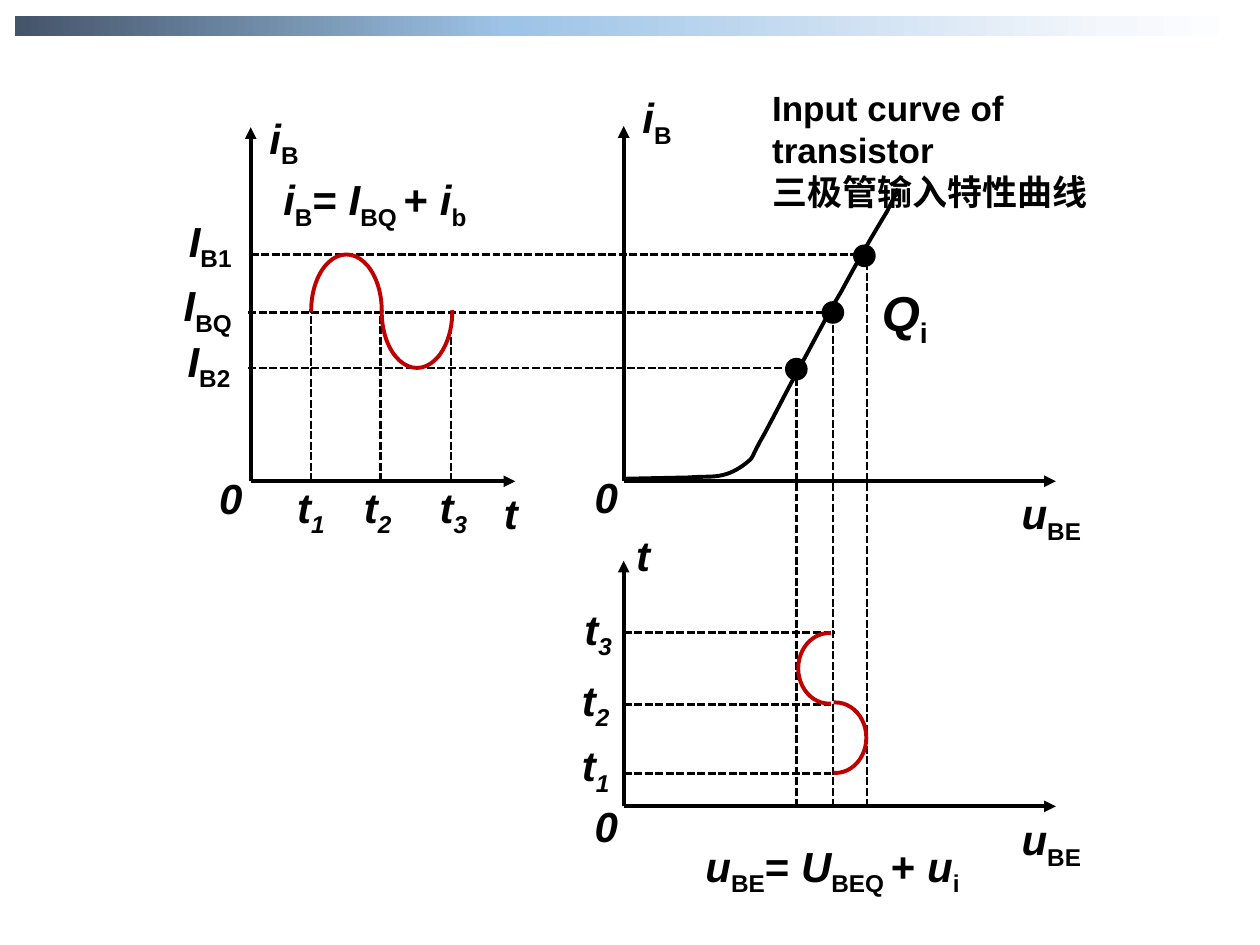
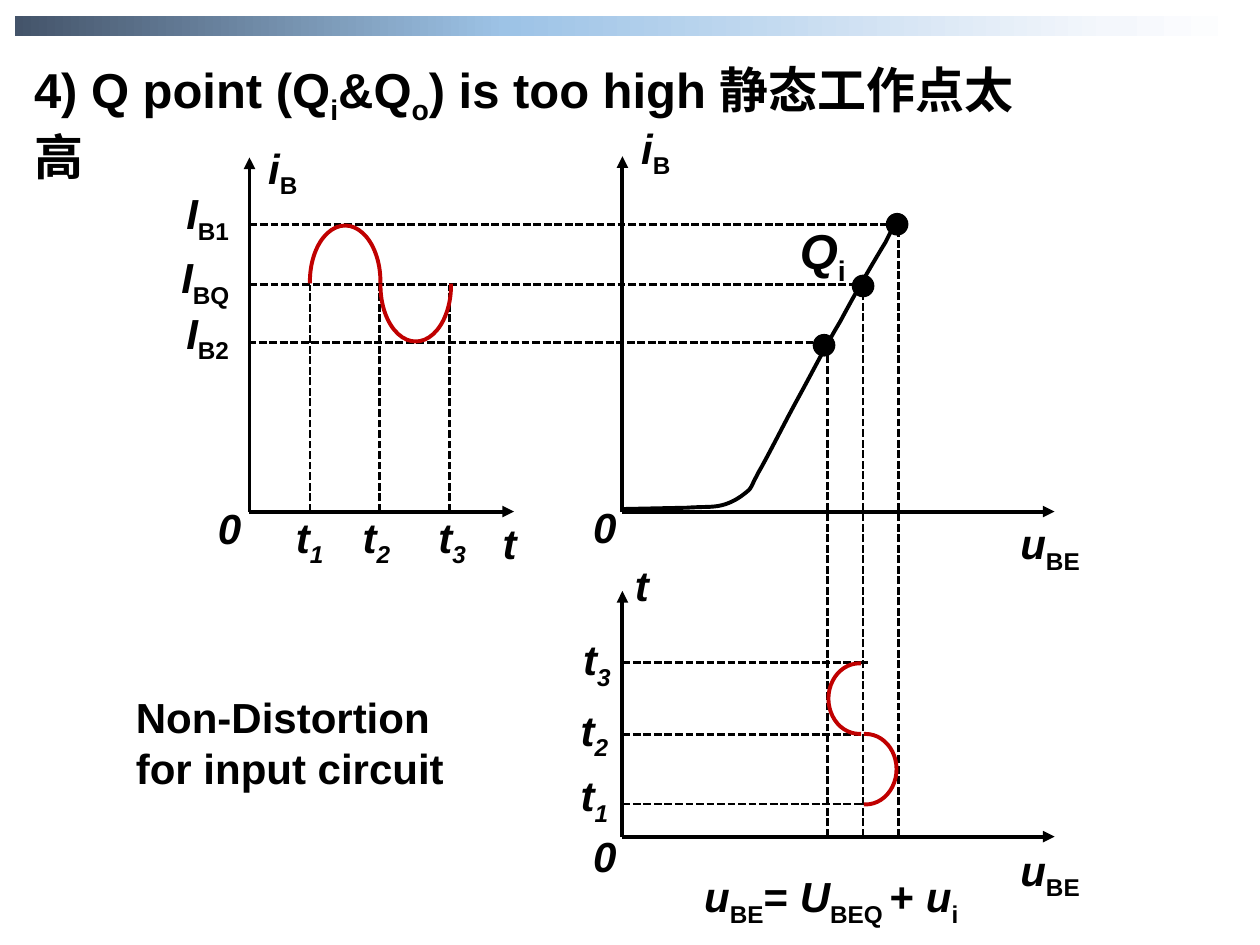
import pptx
import pptx.util
import pptx.dml.color
import pptx.enum.dml
import pptx.enum.shapes
import pptx.enum.text
import pptx.oxml
import pptx.oxml.ns
import lxml.etree

PX = 9144
BLACK = pptx.dml.color.RGBColor(0x00, 0x00, 0x00)
RED = pptx.dml.color.RGBColor(0xC0, 0x00, 0x00)
NAVY = pptx.dml.color.RGBColor(0x44, 0x54, 0x6A)
SKY = pptx.dml.color.RGBColor(0x9D, 0xC3, 0xE6)
PALE = pptx.dml.color.RGBColor(0xF4, 0xF7, 0xFC)
WHITE = pptx.dml.color.RGBColor(0xFF, 0xFF, 0xFF)
FADE = [(0, NAVY), (40, SKY), (89, PALE), (100, WHITE)]
LATIN, HAN = "Arial", "Noto Sans CJK SC"
SHAPE = pptx.enum.shapes.MSO_SHAPE
qn = pptx.oxml.ns.qn


def write(box, size, *paras):
    frame = box.text_frame
    frame.word_wrap = True
    frame.auto_size = pptx.enum.text.MSO_AUTO_SIZE.SHAPE_TO_FIT_TEXT
    frame.vertical_anchor = pptx.enum.text.MSO_ANCHOR.TOP
    for n, parts in enumerate(paras):
        para = frame.add_paragraph() if n else frame.paragraphs[0]
        para.alignment = pptx.enum.text.PP_ALIGN.LEFT
        para.font.name, para.font.bold = LATIN, True
        para.font.size = pptx.util.Pt(size)
        para.font.color.rgb = BLACK
        for words, kind in parts:
            run = para.add_run()
            run.text = words
            if "i" in kind:
                run.font.italic = True
            if "s" in kind:
                run._r.get_or_add_rPr().set("baseline", "-25000")
            if "h" in kind:
                run.font.name = HAN
                lxml.etree.SubElement(run._r.rPr, qn("a:ea"), typeface=HAN)


def draw(slide, x1, y1, x2, y2, dash):
    kind = pptx.enum.shapes.MSO_CONNECTOR.STRAIGHT
    rule = slide.shapes.add_connector(kind, x1 * PX, y1 * PX, x2 * PX, y2 * PX)
    rule.line.color.rgb = BLACK
    rule.line.width = pptx.util.Pt(1.5 if dash else 2.25)
    if dash:
        rule.line.dash_style = pptx.enum.dml.MSO_LINE.SQUARE_DOT
    else:
        lxml.etree.SubElement(rule.line._get_or_add_ln(), qn("a:tailEnd"), type="triangle")
    lxml.etree.SubElement(rule._element.spPr, qn("a:effectLst"))


ZERO, TIME = [("0", "i")], [("t", "i")]
CURRENT = [("i", "i"), ("B", "s")]
VOLTAGE = [("u", "i"), ("BE", "s")]
POINT = [("Q", "i"), ("i", "s")]
TICKS = [[("t", "i"), (n, "is")] for n in "123"]
LEVELS = [[("I", "i"), (n, "s")] for n in ("B1", "BQ", "B2")]
U_SUM = VOLTAGE + [("= ", ""), ("U", "i"), ("BEQ ", "s"), ("+ ", ""), ("u", "i"), ("i", "s")]
I_SUM = CURRENT + [("=", ""), (" I", "i"), ("BQ ", "s"), ("+ ", ""), ("i", "i"), ("b", "s")]
NOTE = [[("Input curve of transistor", "")], [("三极管输入特性曲线", "h")]]
TITLE = [("4) Q point (Q", ""), ("i", "s"), ("&Q", ""), ("o", "s"),
         (") is too high ", ""), ("静态工作点太高", "h")]
VERDICT = [("Non-Distortion for input circuit", "")]

AXES = [(495, 382, 495, 100), (495, 382, 838, 382), (495, 640, 495, 445),
        (495, 640, 838, 640), (199, 382, 199, 101), (199, 382, 409, 382)]
LABELS = [(550, 662, 261, U_SUM), (500, 68, 55, CURRENT), (801, 382, 83, VOLTAGE),
          (495, 415, 55, TIME), (801, 641, 83, VOLTAGE), (462, 630, 55, ZERO),
          (204, 84, 55, CURRENT), (390, 382, 47, TIME), (462, 369, 55, ZERO),
          (164, 370, 55, ZERO)]
LABELS += [(x, 377, 55, tick) for x, tick in zip((226, 279, 339), TICKS)]
LABELS += [(x, y, 55, tick) for x, y, tick in zip((452, 452, 454), (582, 530, 474), TICKS)]
BENDS = [[(546, 379), (559, 378), (566, 379), (574, 377)],
         [(574, 377), (582, 375), (588, 371), (593, 367)],
         [(593, 367), (598, 363), (596, 364), (603, 351)],
         [(603, 351), (610, 339), (624, 311), (635, 291)],
         [(635, 291), (646, 271), (656, 251), (668, 231)],
         [(668, 231), (679, 210), (696, 181), (704, 168)],
         [(704, 168), (711, 154), (712, 152), (713, 150)]]
STEPS = 8

VIEWS = [
    dict(shift=(0, 0), title=None,
         rows=[(199, 202, 690), (197, 248, 662), (197, 292, 633)],
         drops=[(688, 202), (661, 239), (632, 292)], ends=(662, 661, 662), mid=248,
         arcs=[(635, 561), (630, 506), (247, 202), (303, 203)],
         dots=[(652, 239), (677, 194), (623, 284)],
         marks=[(140, 166), (136, 217), (139, 261)], point=(690, 219),
         notes=[(215, 133, 200, 59, 24, [I_SUM]), (603, 64, 323, 77, 20, NOTE)]),
    dict(shift=(-1, 24), title=TITLE,
         rows=[(198, 178, 711), (198, 226, 689), (197, 272, 657)],
         drops=[(713, 174), (685, 224), (657, 277)], ends=(685, 683, 689), mid=226,
         arcs=[(659, 586), (654, 530), (246, 179), (302, 182)],
         dots=[(676, 218), (703, 169), (645, 265)],
         marks=[(138, 144), (134, 195), (138, 239)], point=(625, 170),
         notes=[(98, 544, 278, 88, 24, [VERDICT])]),
]

deck = pptx.Presentation()
deck.slide_width, deck.slide_height = 1000 * PX, 750 * PX

for view in VIEWS:
    slide = deck.slides.add_slide(deck.slide_layouts[5 if view["title"] else 6])
    shapes = slide.shapes
    dx, dy = view["shift"]

    band = shapes.add_shape(SHAPE.RECTANGLE, 12 * PX, 13 * PX, 976 * PX, 16 * PX)
    band.shadow.inherit = False
    band.line.fill.background()
    band.fill.gradient()
    band.fill.gradient_angle = 0
    stops = band._element.spPr.find(".//" + qn("a:gsLst"))
    for stop in list(stops):
        stops.remove(stop)
    for place, tone in FADE:
        stop = lxml.etree.SubElement(stops, qn("a:gs"), pos=str(place * 1000))
        lxml.etree.SubElement(stop, qn("a:srgbClr"), val=str(tone))

    if view["title"]:
        head = shapes.title
        head.left, head.top, head.width, head.height = 17 * PX, 42 * PX, 834 * PX, 56 * PX
        write(head, 28, view["title"])

    for left, y, right in view["rows"]:
        draw(slide, left, y, right, y, True)
    for x, top in view["drops"]:
        draw(slide, x, 640 + dy, x, top, True)
    for y, end in zip((614, 559, 502), view["ends"]):
        draw(slide, 495 + dx, y + dy, end, y + dy, True)
    for x in (247, 302, 358):
        draw(slide, x + dx, 382 + dy, x + dx, view["mid"], True)
    for x1, y1, x2, y2 in AXES:
        draw(slide, x1 + dx, y1 + dy, x2 + dx, y2 + dy, False)

    turns = [(49, 90, None), (49, 270, "flipH"), (89, 0, None), (89, 0, "flipV")]
    for (x, y), (tall, turn, flip) in zip(view["arcs"], turns):
        arc = shapes.add_shape(SHAPE.ARC, x * PX, y * PX, 56 * PX, tall * PX)
        arc.adjustments[0], arc.adjustments[1] = 106.3, 1.73
        arc.rotation = turn
        if flip:
            arc._element.spPr.get_or_add_xfrm().set(flip, "1")
        arc.shadow.inherit = False
        arc.fill.background()
        arc.line.color.rgb = RED
        arc.line.width = pptx.util.Pt(2.25)

    texts = [(x + dx, y + dy, w, 59, 24, [parts]) for x, y, w, parts in LABELS]
    texts += [(x, y, 75, 59, 24, [parts]) for (x, y), parts in zip(view["marks"], LEVELS)]
    texts += [(*view["point"], 67, 67, 28, [POINT])] + view["notes"]
    for x, y, w, h, size, paras in texts:
        write(shapes.add_textbox(x * PX, y * PX, w * PX, h * PX), size, *paras)

    track = [(546, 379)]
    for bend in BENDS:
        for n in range(1, STEPS + 1):
            t = n / STEPS
            share = [(1 - t) ** 3, 3 * t * (1 - t) ** 2, 3 * t * t * (1 - t), t ** 3]
            track.append([sum(s * p[k] for s, p in zip(share, bend)) for k in (0, 1)])
    pen = shapes.build_freeform((496 + dx) * PX, (380 + dy) * PX)
    pen.add_line_segments([((x + dx) * PX, (y + dy) * PX) for x, y in track], close=False)
    curve = pen.convert_to_shape()
    curve.shadow.inherit = False
    curve.fill.background()
    curve.line.color.rgb = BLACK
    curve.line.width = pptx.util.Pt(2.25)

    for x, y in view["dots"]:
        dot = shapes.add_shape(SHAPE.OVAL, x * PX, y * PX, 18 * PX, 18 * PX)
        dot.shadow.inherit = False
        dot.fill.solid()
        dot.fill.fore_color.rgb = BLACK
        dot.line.fill.background()

deck.save("out.pptx")
